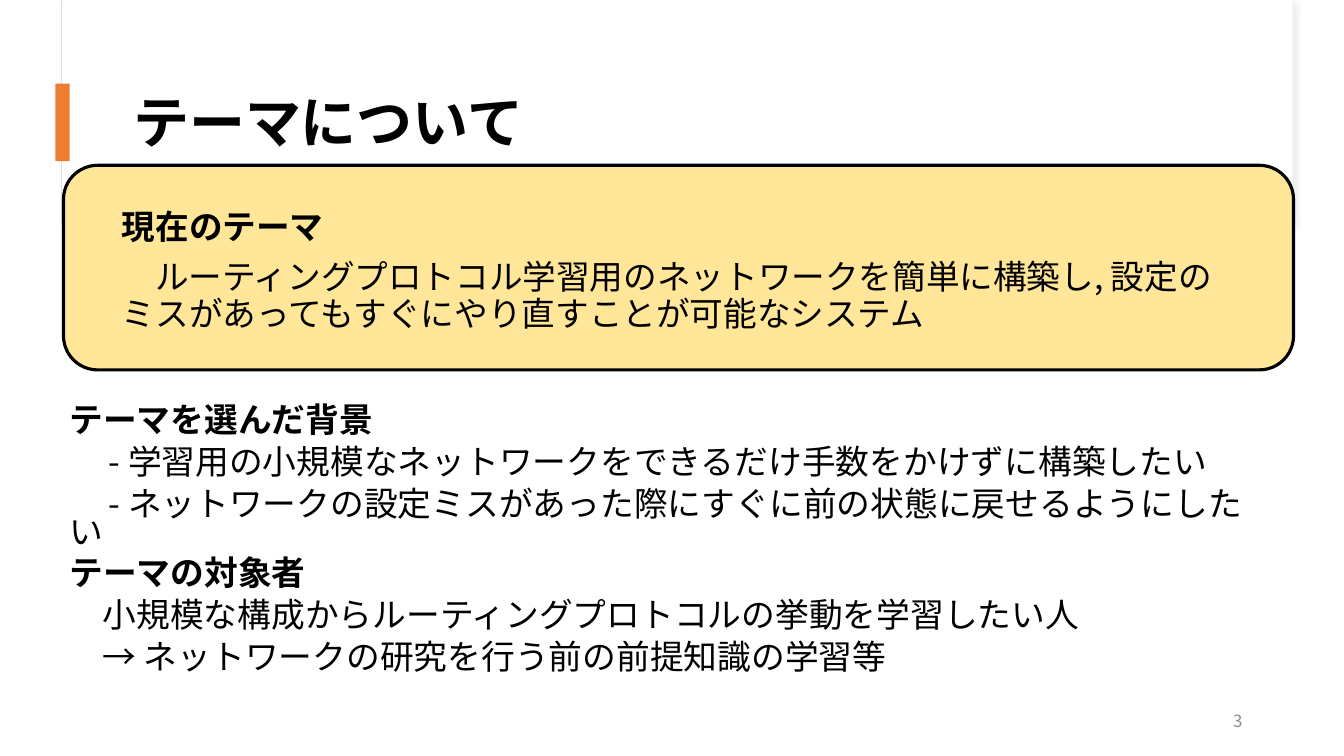
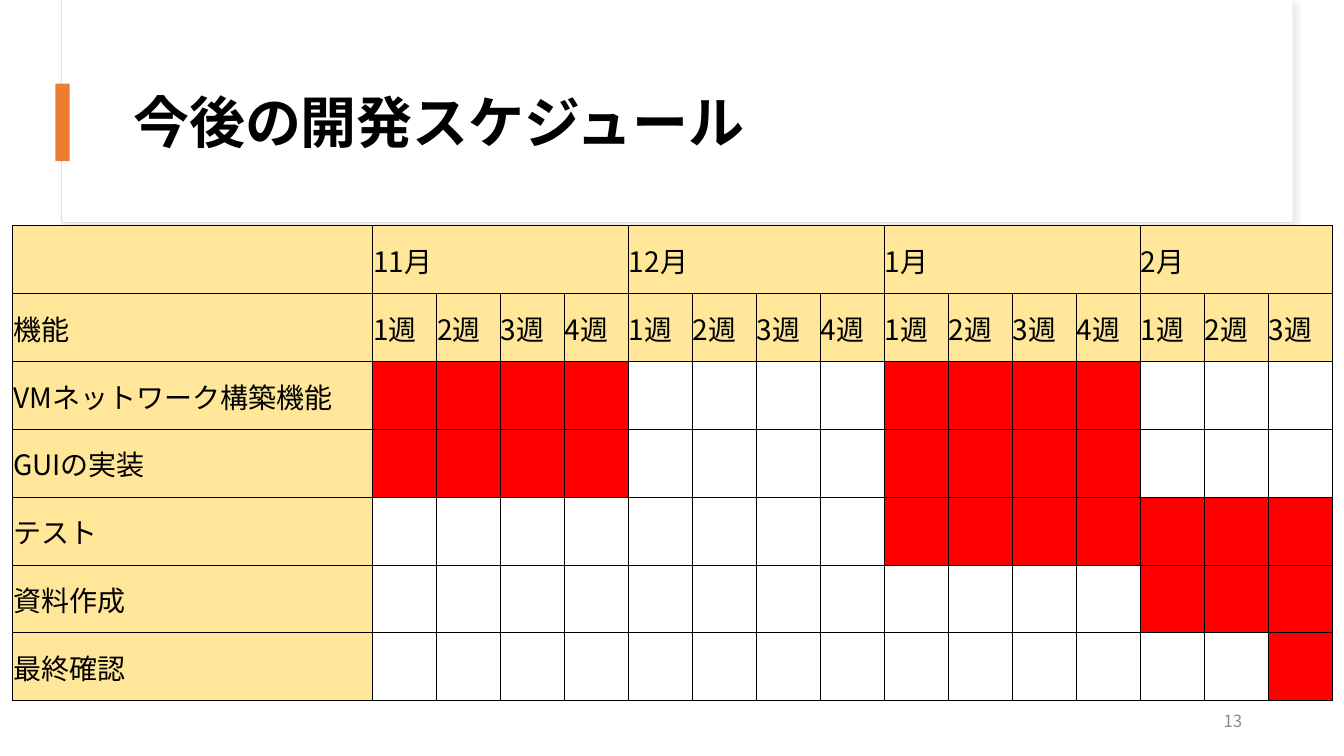
from dataclasses import dataclass

import pptx
import pptx.dml.color
import pptx.enum.lang
import pptx.enum.shapes
import pptx.enum.text
import pptx.oxml
import pptx.oxml.ns
import pptx.util

EMU_PER_PX = 9144
FONT = "Noto Sans CJK JP"
COLORS = {
    "white": "FFFFFF",
    "black": "000000",
    "card_line": "E1E1E1",
    "shadow": "D9D9D9",
    "accent": "ED7D31",
    "cream": "FFE699",
    "busy": "FF0000",
    "page": "8C8C8C",
}
SHAPE = pptx.enum.shapes.MSO_SHAPE
ALIGN = pptx.enum.text.PP_ALIGN
ANCHOR = pptx.enum.text.MSO_ANCHOR


@dataclass(frozen=True)
class Box:
    left: int
    top: int
    width: int
    height: int

    def emu(self) -> tuple[int, ...]:
        return tuple(map(px, (self.left, self.top, self.width, self.height)))


@dataclass(frozen=True)
class Panel:
    box: Box
    fill: str
    line: str | None = None
    line_pt: float = 0
    kind: int = SHAPE.RECTANGLE
    shadow: bool = False


@dataclass(frozen=True)
class Line:
    text: str
    indent: int = 0
    bold: bool = False


@dataclass(frozen=True)
class TextBlock:
    box: Box
    size: float
    line_pt: float
    lines: tuple[Line, ...]


@dataclass(frozen=True)
class Month:
    name: str
    weeks: int


@dataclass(frozen=True)
class Task:
    name: str
    busy_weeks: frozenset[int]


HEADER = (
    Panel(Box(61, 0, 1221, 221), "white", "card_line", 0.75, shadow=True),
    Panel(Box(62, 0, 1220, 220), "white"),
    Panel(Box(55, 83, 14, 77), "accent"),
)
TITLE_BOX = Box(122, 60, 1112, 129)
PAGE_BOX = Box(942, 695, 300, 40)

THEME_PANEL = Panel(Box(63, 164, 1220, 203), "cream", "black", 2.25, SHAPE.ROUNDED_RECTANGLE)
THEME_BLOCKS = (
    TextBlock(Box(111, 208, 1112, 130), 24, 26, (
        Line("現在のテーマ", bold=True),
        Line("ルーティングプロトコル学習用のネットワークを簡単に構築し, 設定の"
             "ミスがあってもすぐにやり直すことが可能なシステム", 33),
    )),
    TextBlock(Box(59, 408, 1216, 145), 24.1, 20, (
        Line("テーマを選んだ背景", bold=True),
        Line("- 学習用の小規模なネットワークをできるだけ手数をかけずに構築したい", 39),
        Line("- ネットワークの設定ミスがあった際にすぐに前の状態に戻せるようにしたい", 39),
    )),
    TextBlock(Box(59, 560, 1216, 115), 24.1, 20, (
        Line("テーマの対象者", bold=True),
        Line("小規模な構成からルーティングプロトコルの挙動を学習したい人", 33),
        Line("→ ネットワークの研究を行う前の前提知識の学習等", 33),
    )),
)

TABLE_BOX = Box(12, 224, 1309, 471)
NAME_WIDTH = 357
MONTHS = (Month("11月", 4), Month("12月", 4), Month("1月", 4), Month("2月", 3))
NOVEMBER, JANUARY, FEBRUARY = range(1, 5), range(9, 13), range(13, 16)
TASKS = (
    Task("VMネットワーク構築機能", frozenset((*NOVEMBER, *JANUARY))),
    Task("GUIの実装", frozenset((*NOVEMBER, *JANUARY))),
    Task("テスト", frozenset((*JANUARY, *FEBRUARY))),
    Task("資料作成", frozenset(FEBRUARY)),
    Task("最終確認", frozenset((15,))),
)


def px(n: int) -> int:
    return n * EMU_PER_PX


def rgb(name: str) -> pptx.dml.color.RGBColor:
    return pptx.dml.color.RGBColor.from_string(COLORS[name])


def xml(body: str):
    """Parse a DrawingML element whose opening tag carries {ns}."""
    return pptx.oxml.parse_xml(body.replace("{ns}", pptx.oxml.ns.nsdecls("a")))


def add_run(p, text: str, size: float, color: str = "black", bold: bool = False) -> None:
    r = p.add_run()
    r.text = text
    r.font.size = pptx.util.Pt(size)
    r.font.bold = bold
    r.font.name = FONT
    r.font.language_id = pptx.enum.lang.MSO_LANGUAGE_ID.JAPANESE
    r.font.color.rgb = rgb(color)
    r.font._element.append(xml(f'<a:ea {{ns}} typeface="{FONT}"/>'))


def add_panel(slide, panel: Panel) -> None:
    sp = slide.shapes.add_shape(panel.kind, *panel.box.emu())
    sp.shadow.inherit = False
    sp.fill.solid()
    sp.fill.fore_color.rgb = rgb(panel.fill)
    if panel.line:
        sp.line.color.rgb = rgb(panel.line)
        sp.line.width = pptx.util.Pt(panel.line_pt)
    else:
        sp.line.fill.background()
    if panel.shadow:
        effects = sp._element.spPr.find(pptx.oxml.ns.qn("a:effectLst"))
        effects.append(xml(
            '<a:outerShdw {ns} blurRad="50800" dist="38100" dir="2700000">'
            f'<a:srgbClr val="{COLORS["shadow"]}"><a:alpha val="50000"/></a:srgbClr>'
            '</a:outerShdw>'))


def add_text_frame(slide, box: Box):
    tf = slide.shapes.add_textbox(*box.emu()).text_frame
    tf.word_wrap = True
    tf.margin_top = tf.margin_bottom = 0
    return tf


def add_text_block(slide, block: TextBlock) -> None:
    tf = add_text_frame(slide, block.box)
    for i, line in enumerate(block.lines):
        p = tf.add_paragraph() if i else tf.paragraphs[0]
        p.line_spacing = pptx.util.Pt(block.line_pt)
        p.space_before = pptx.util.Pt(10 if i else 0)
        if line.indent:
            p._p.get_or_add_pPr().set("indent", str(px(line.indent)))
        add_run(p, line.text, block.size, bold=line.bold)


def add_slide(prs, title: str, page: int):
    """Add a slide with the shared header, title and page number."""
    slide = prs.slides.add_slide(prs.slide_layouts[5])
    for panel in HEADER:
        add_panel(slide, panel)
    sp = slide.shapes.title
    sp._element.getparent().append(sp._element)  # bring above the header card
    sp.left, sp.top, sp.width, sp.height = TITLE_BOX.emu()
    tf = sp.text_frame
    tf.auto_size = pptx.enum.text.MSO_AUTO_SIZE.NONE
    tf.vertical_anchor = ANCHOR.MIDDLE
    p = tf.paragraphs[0]
    p.alignment = ALIGN.LEFT
    p.line_spacing = 0.9
    add_run(p, title, 40, bold=True)

    tf = add_text_frame(slide, PAGE_BOX)
    tf.vertical_anchor = ANCHOR.MIDDLE
    tf.paragraphs[0].alignment = ALIGN.RIGHT
    add_run(tf.paragraphs[0], str(page), 12, "page")
    return slide


def format_cell(cell, fill: str | None, text: str = "") -> None:
    cell.vertical_anchor = ANCHOR.MIDDLE
    cell.margin_left = cell.margin_right = cell.margin_top = px(1)
    cell.margin_bottom = 0
    if fill:
        cell.fill.solid()
        cell.fill.fore_color.rgb = rgb(fill)
    else:
        cell.fill.background()
    for i, side in enumerate("LRTB"):
        cell._tc.get_or_add_tcPr().insert(i, xml(
            f'<a:ln{side} {{ns}} w="6350"><a:solidFill>'
            f'<a:srgbClr val="{COLORS["black"]}"/></a:solidFill></a:ln{side}>'))
    if text:
        add_run(cell.text_frame.paragraphs[0], text, 20)


def add_schedule(slide) -> None:
    weeks = [f"{w}週" for m in MONTHS for w in range(1, m.weeks + 1)]
    starts = {1 + sum(m.weeks for m in MONTHS[:i]): m for i, m in enumerate(MONTHS)}
    month_row = ["", *(starts[c].name if c in starts else "" for c in range(1, len(weeks) + 1))]
    headers = (month_row, ["機能", *weeks])
    rows, cols = len(headers) + len(TASKS), 1 + len(weeks)

    table = slide.shapes.add_table(rows, cols, *TABLE_BOX.emu()).table
    table.first_row = table.horz_banding = False
    for row in table.rows:
        row.height = px(TABLE_BOX.height) // rows
    for c, column in enumerate(table.columns):
        column.width = px(TABLE_BOX.width - NAME_WIDTH) // len(weeks) if c else px(NAME_WIDTH)

    for r, texts in enumerate(headers):
        for c, text in enumerate(texts):
            format_cell(table.cell(r, c), "cream", text)
    for r, task in enumerate(TASKS, len(headers)):
        format_cell(table.cell(r, 0), "cream", task.name)
        for c in range(1, cols):
            format_cell(table.cell(r, c), "busy" if c in task.busy_weeks else None)
    for c, month in starts.items():
        table.cell(0, c).merge(table.cell(0, c + month.weeks - 1))


def main() -> None:
    prs = pptx.Presentation()
    prs.slide_width, prs.slide_height = px(1333), px(750)

    slide = add_slide(prs, "テーマについて", 3)
    add_panel(slide, THEME_PANEL)
    for block in THEME_BLOCKS:
        add_text_block(slide, block)

    add_schedule(add_slide(prs, "今後の開発スケジュール", 13))
    prs.save("out.pptx")


if __name__ == "__main__":
    main()
